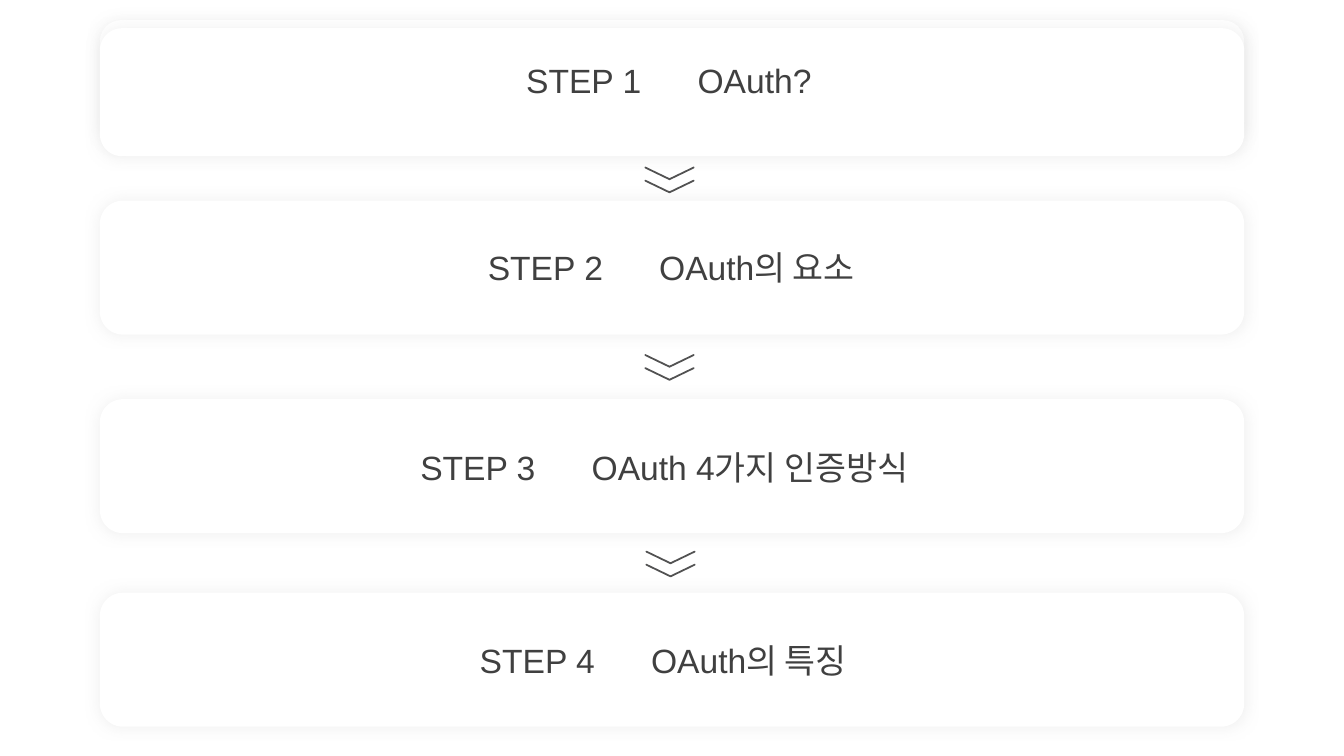
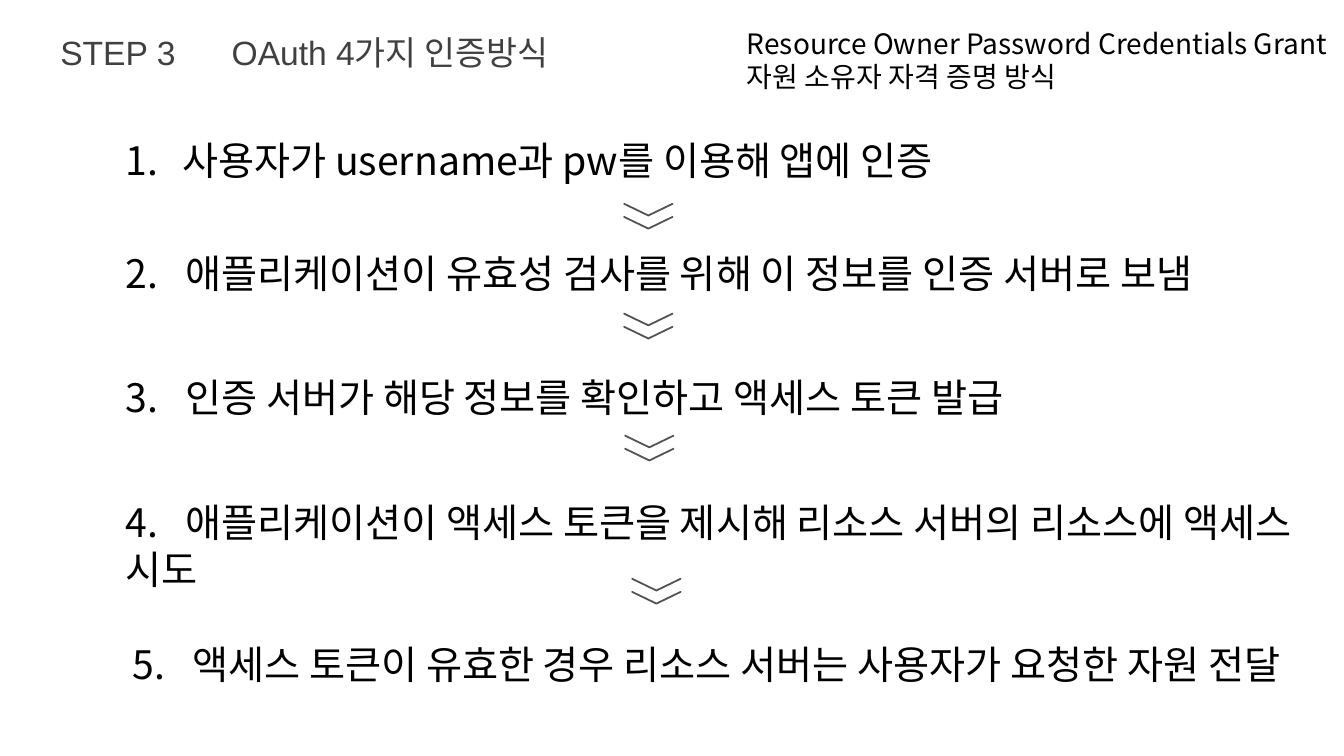
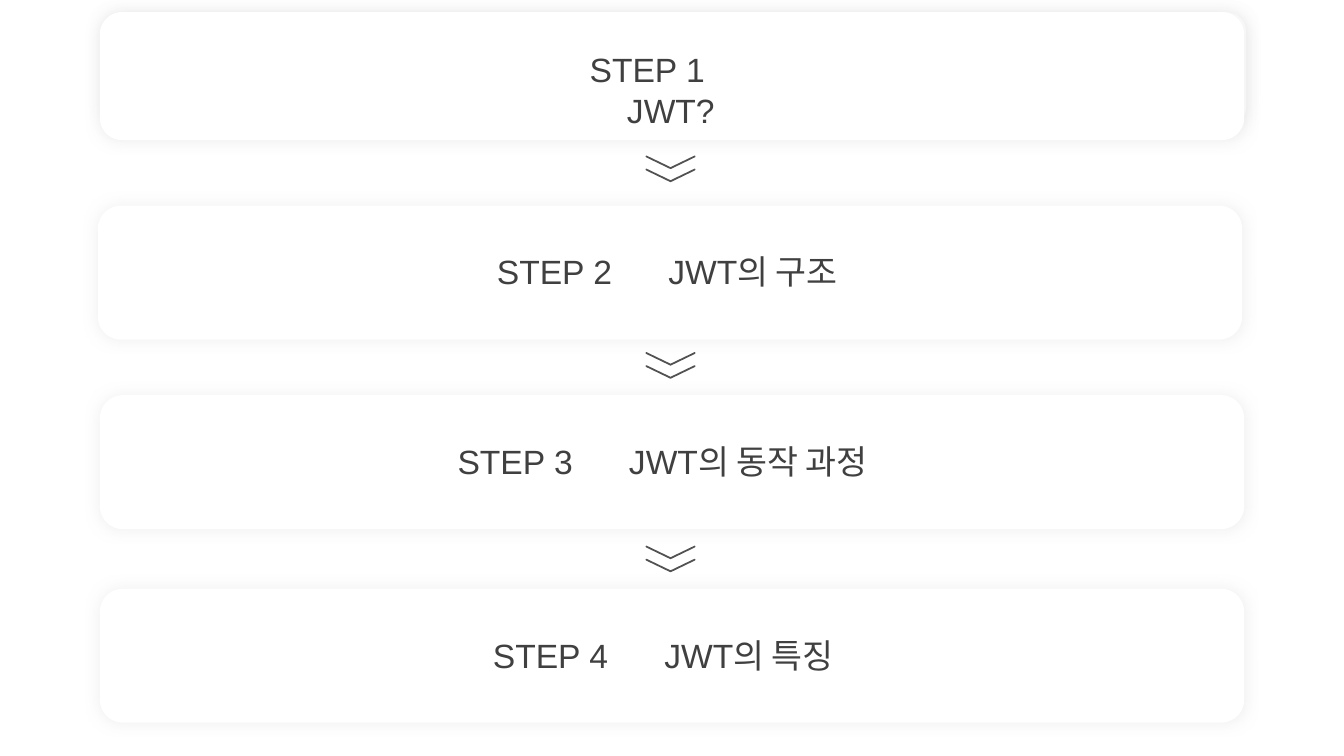
from lxml import etree
from pptx import Presentation
from pptx.dml.color import RGBColor
from pptx.enum.shapes import MSO_SHAPE
from pptx.oxml.ns import qn
from pptx.util import Emu, Inches, Pt

CARD = MSO_SHAPE.ROUNDED_RECTANGLE
CHEVRON = MSO_SHAPE.CHEVRON

WHITE, SHADOW, GRAY, BLACK = "FFFFFF", "D9D9D9", "404040", "000000"
CHEVRON_FILL, CHEVRON_LINE = "4472C4", "525252"
HEADING_FONT, BODY_FONT = "Arial", "Noto Sans CJK KR"

SLIDE_WIDTH, SLIDE_HEIGHT = 13.33, 7.5
CARD_LEFT, CARD_WIDTH, CARD_HEIGHT = 0.99, 11.35, 1.33
CHEVRON_WIDTH, CHEVRON_HEIGHT, CHEVRON_GAP = 0.12, 0.48, 0.13
HEADING_HEIGHT, HEADING_TAB = 0.5, 1.7
BODY_LEFT, BODY_WIDTH, BODY_HEIGHT, BODY_TAB = 1.15, 12.18, 0.57, 0.59
NUMBER_INDENT = 0.56


def paint(fill, color):
    fill.solid()
    fill.fore_color.rgb = RGBColor.from_string(color)


def add_text(slide, text, box, size, font, color, tab=None):
    """Add a wrapped text box; tab is the distance of its tab stop in inches."""
    shape = slide.shapes.add_textbox(*map(Inches, box))
    shape.text_frame.word_wrap = True
    shape.text_frame.text = text
    for paragraph in shape.text_frame.paragraphs:
        if tab:
            tabs = etree.SubElement(paragraph._p.get_or_add_pPr(), qn("a:tabLst"))
            etree.SubElement(tabs, qn("a:tab"), pos=str(Inches(tab)), algn="l")
        for run in paragraph.runs:
            run.font.size = Pt(size)
            run.font.name = font
            paint(run.font.fill, color)
            etree.SubElement(run.font._element, qn("a:ea"), typeface=BODY_FONT)
    return shape


# Cards: left, top, height. Headings: text, left, top, width.
# Chevrons: left and top of the upper one before it is turned.
AGENDAS = {
    "OAuth": {
        "cards": [(CARD_LEFT, 0.2, 1.21), (CARD_LEFT, 0.28, 1.27)]
        + [(CARD_LEFT, top, CARD_HEIGHT) for top in (1.99, 3.96, 5.88)],
        "headings": [
            ("STEP 1\tOAuth?", 5.12, 0.55, 3.09),
            ("STEP 2\tOAuth의 요소", 4.74, 2.4, 4.06),
            ("STEP 3\tOAuth 4가지 인증방식", 4.07, 4.38, 5.33),
            ("STEP 4\tOAuth의 특징", 4.66, 6.3, 4.06),
        ],
        "chevrons": [(6.58, 1.48), (6.58, 3.34), (6.59, 5.29)],
    },
    "Password grant": {
        "cards": [],
        "headings": [("STEP 3\tOAuth 4가지 인증방식", 0.5, 0.27, 5.33)],
        "chevrons": [(6.37, 1.84), (6.37, 2.93), (6.38, 4.14), (6.45, 5.56)],
    },
    "JWT": {
        "cards": [(1.01, 0.12, 1.14), (CARD_LEFT, 0.12, 1.27), (0.97, 2.04, CARD_HEIGHT)]
        + [(CARD_LEFT, top, CARD_HEIGHT) for top in (3.92, 5.84)],
        "headings": [
            ("STEP 1\nJWT?", 5.75, 0.44, 1.83),
            ("STEP 2\tJWT의 구조", 4.83, 2.44, 3.71),
            ("STEP 3\tJWT의 동작 과정", 4.44, 4.33, 4.5),
            ("STEP 4\tJWT의 특징", 4.79, 6.25, 3.71),
        ],
        "chevrons": [(6.59, 1.37), (6.59, 3.32), (6.59, 5.24)],
    },
}

GRANT_STEPS = [
    ("2.\t애플리케이션이 유효성 검사를 위해 이 정보를 인증 서버로 보냄", BODY_LEFT, 2.42),
    ("3.\t인증 서버가 해당 정보를 확인하고 액세스 토큰 발급", BODY_LEFT, 3.65),
    ("4.\t애플리케이션이 액세스 토큰을 제시해 리소스 서버의 리소스에 액세스 시도", BODY_LEFT, 4.89),
    ("5.\t액세스 토큰이 유효한 경우 리소스 서버는 사용자가 요청한 자원 전달", 1.22, 6.3),
]

presentation = Presentation()
presentation.slide_width = Inches(SLIDE_WIDTH)
presentation.slide_height = Inches(SLIDE_HEIGHT)

for topic, agenda in AGENDAS.items():
    slide = presentation.slides.add_slide(presentation.slide_layouts[6])
    paint(slide.background.fill, WHITE)

    for left, top, height in agenda["cards"]:
        card = slide.shapes.add_shape(CARD, *map(Inches, (left, top, CARD_WIDTH, height)))
        card.adjustments[0] = 0.173
        paint(card.fill, WHITE)
        card.line.fill.background()
        card.shadow.inherit = False
        effects = card._element.spPr.find(qn("a:effectLst"))
        shadow = etree.SubElement(effects, qn("a:outerShdw"), blurRad=str(Pt(10)),
                                  dist="0", dir="2700000", algn="tl", rotWithShape="0")
        shadow_color = etree.SubElement(shadow, qn("a:srgbClr"), val=SHADOW)
        etree.SubElement(shadow_color, qn("a:alpha"), val="40000")

    for text, left, top, width in agenda["headings"]:
        heading = add_text(slide, text, (left, top, width, HEADING_HEIGHT),
                           24, HEADING_FONT, GRAY, HEADING_TAB)
        for paragraph in heading.text_frame.paragraphs[1:]:
            paragraph._p.get_or_add_pPr().set("marL", str(Inches(0.37)))

    for left, top in agenda["chevrons"]:
        arrow = slide.shapes.add_group_shape()
        for row in range(2):
            chevron = arrow.shapes.add_shape(
                CHEVRON, Inches(left), Inches(top + row * CHEVRON_GAP),
                Inches(CHEVRON_WIDTH), Inches(CHEVRON_HEIGHT))
            chevron.rotation = 90
            chevron.adjustments[0] = 0.967
            chevron.shadow.inherit = False
            paint(chevron.fill, CHEVRON_FILL)
            paint(chevron.line.fill, CHEVRON_LINE)
            chevron.line.width = Pt(1)

    if topic == "Password grant":
        add_text(slide, "Resource Owner Password Credentials Grant\n자원 소유자 자격 증명 방식",
                 (7.31, 0.21, SLIDE_WIDTH - 7.31, 0.77), 20, BODY_FONT, BLACK)
        first_step = add_text(slide, "사용자가 username과 pw를 이용해 앱에 인증",
                              (BODY_LEFT, 1.3, 10.37, BODY_HEIGHT), 28, BODY_FONT, BLACK)
        properties = first_step.text_frame.paragraphs[0]._p.get_or_add_pPr()
        properties.set("marL", str(Inches(NUMBER_INDENT)))
        properties.set("indent", str(Emu(-Inches(NUMBER_INDENT))))
        etree.SubElement(properties, qn("a:buAutoNum"), type="arabicPeriod")
        for text, left, top in GRANT_STEPS:
            add_text(slide, text, (left, top, BODY_WIDTH, BODY_HEIGHT),
                     28, BODY_FONT, BLACK, BODY_TAB)

presentation.save("out.pptx")
